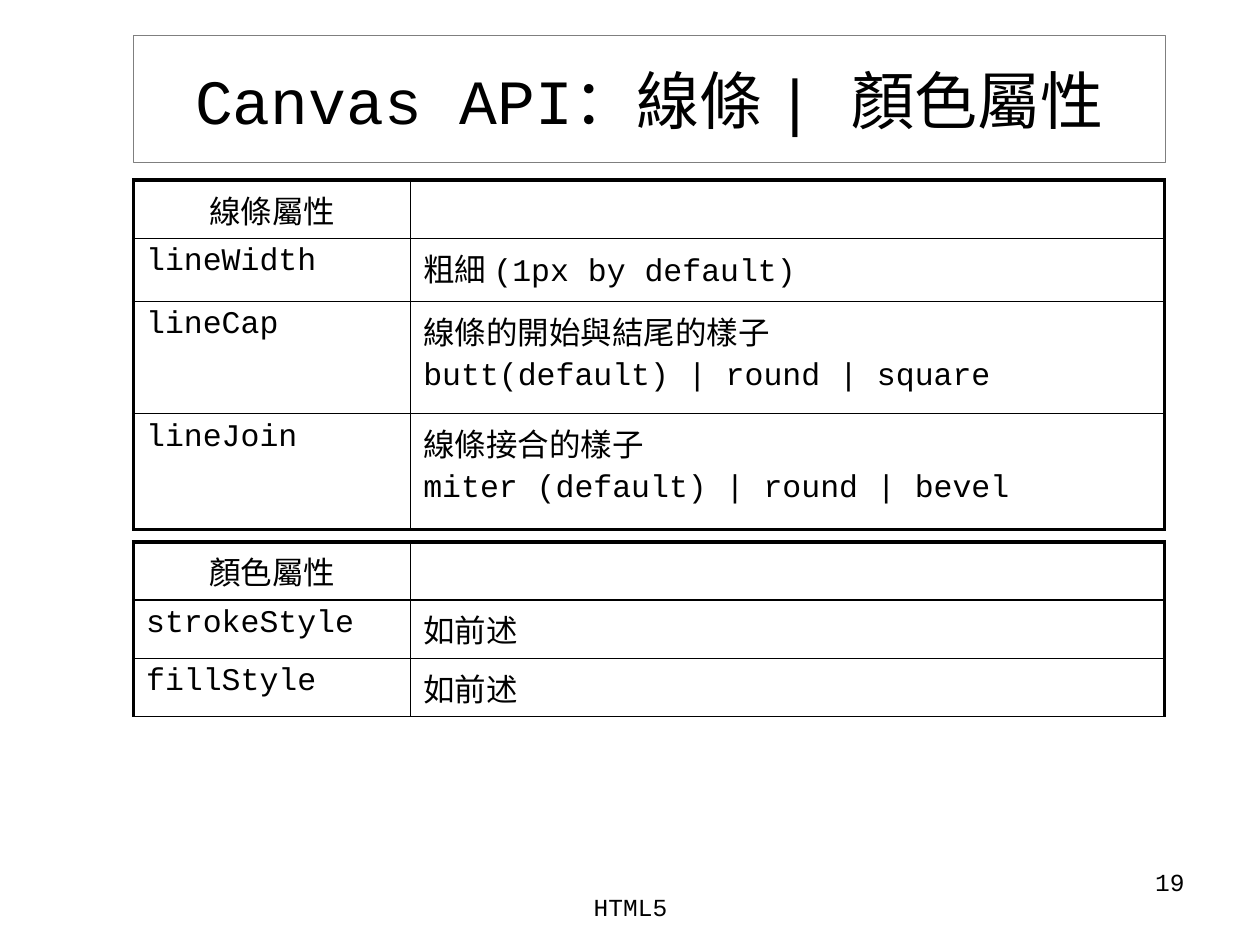
import pptx
import pptx.util
import pptx.dml.color
import pptx.enum.text
import lxml.etree
from pptx.oxml.ns import qn

Inches = pptx.util.Inches
Pt = pptx.util.Pt
ALIGN = pptx.enum.text.PP_ALIGN
ANCHOR = pptx.enum.text.MSO_ANCHOR
BLACK = pptx.dml.color.RGBColor(0x00, 0x00, 0x00)
GRAY = pptx.dml.color.RGBColor(0x7F, 0x7F, 0x7F)

LINES = [
    ("線條屬性", ""),
    ("lineWidth", "粗細 (1px by default)"),
    ("lineCap", "線條的開始與結尾的樣子\nbutt(default) | round | square"),
    ("lineJoin", "線條接合的樣子\nmiter (default) | round | bevel"),
]
COLORS = [
    ("顏色屬性", ""),
    ("strokeStyle", "如前述"),
    ("fillStyle", "如前述"),
]


class Deck:
    face = "Courier New"
    thin = 1
    thick = 2.25
    left = 1.06
    cols = (2.2, 5.98)

    def __init__(self, slide):
        self.slide = slide

    def apply(self, item, values):
        for name, value in values.items():
            setattr(item, name, value)

    def letter(self, frame, text, size, align):
        frame.text = text
        frame.word_wrap = True
        for i, para in enumerate(frame.paragraphs):
            para.alignment = align
            if i:
                para.space_before = Pt(3.6)
            for item in (para, *para.runs):
                self.apply(item.font, {"size": Pt(size), "name": self.face})
                item.font.color.rgb = BLACK

    def title(self, text, top, width, height):
        shape = self.slide.shapes.title
        self.apply(shape, {"left": Inches(self.left), "top": Inches(top),
                           "width": Inches(width), "height": Inches(height)})
        self.letter(shape.text_frame, text, 36, ALIGN.CENTER)
        self.apply(shape.text_frame, {"vertical_anchor": ANCHOR.MIDDLE,
                                      "auto_size": pptx.enum.text.MSO_AUTO_SIZE.NONE})
        shape.line.color.rgb = GRAY
        shape.line.width = Pt(0.75)

    def label(self, text, left, top, width, height, align):
        box = self.slide.shapes.add_textbox(
            Inches(left), Inches(top), Inches(width), Inches(height))
        self.letter(box.text_frame, text, 14, align)

    def border(self, cell, widths):
        props = cell._tc.get_or_add_tcPr()
        for i, (side, width) in enumerate(widths.items()):
            line = lxml.etree.Element(qn("a:ln" + side), w=str(Pt(width)))
            fill = lxml.etree.SubElement(line, qn("a:solidFill"))
            lxml.etree.SubElement(fill, qn("a:srgbClr"), val=str(BLACK))
            props.insert(i, line)

    def table(self, rows, top, heights, base):
        table = self.slide.shapes.add_table(
            len(rows), len(self.cols), Inches(self.left), Inches(top),
            Inches(sum(self.cols)), Inches(sum(heights))).table
        self.apply(table, {"first_row": False, "horz_banding": False})
        for col, width in zip(table.columns, self.cols):
            col.width = Inches(width)
        for r, (row, height) in enumerate(zip(rows, heights)):
            table.rows[r].height = Inches(height)
            for c, text in enumerate(row):
                cell = table.cell(r, c)
                cell.fill.background()
                self.letter(cell.text_frame, text, 18, ALIGN.LEFT if r else ALIGN.CENTER)
                self.border(cell, {
                    "L": self.thin if c else self.thick,
                    "R": self.thick if c else self.thin,
                    "T": self.thin if r else self.thick,
                    "B": base if r == len(rows) - 1 else self.thin,
                })


def main():
    show = pptx.Presentation()
    show.slide_width = Inches(10)
    show.slide_height = Inches(7.5)
    deck = Deck(show.slides.add_slide(show.slide_layouts[5]))
    deck.title("Canvas API：線條 | 顏色屬性", 0.28, 8.19, 1.01)
    deck.table(LINES, 1.43, (0.46, 0.5, 0.89, 0.92), deck.thick)
    deck.table(COLORS, 4.3, (0.46,) * 3, deck.thin)
    deck.label("19", 7.17, 6.83, 2.33, 0.52, ALIGN.RIGHT)
    deck.label("HTML5", 3.42, 7.03, 3.17, 0.5, ALIGN.CENTER)
    show.save("out.pptx")


if __name__ == "__main__":
    main()
